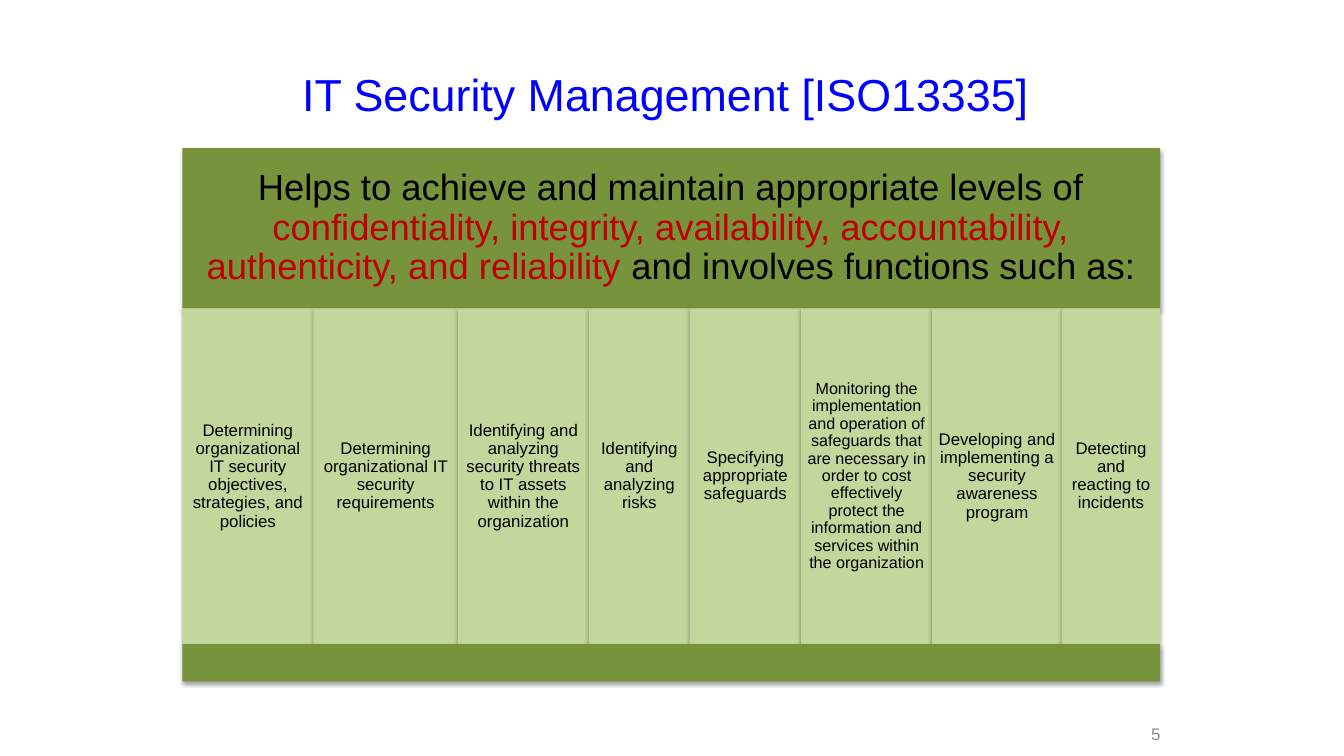
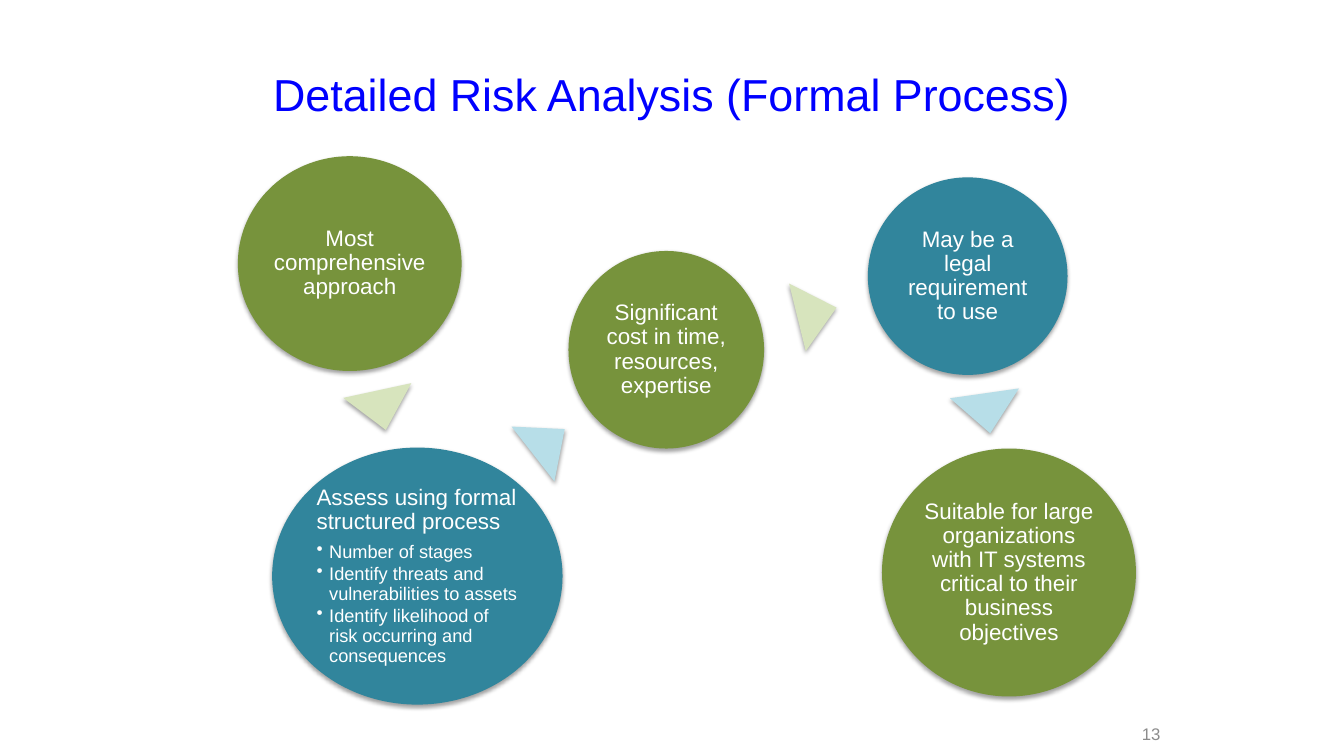
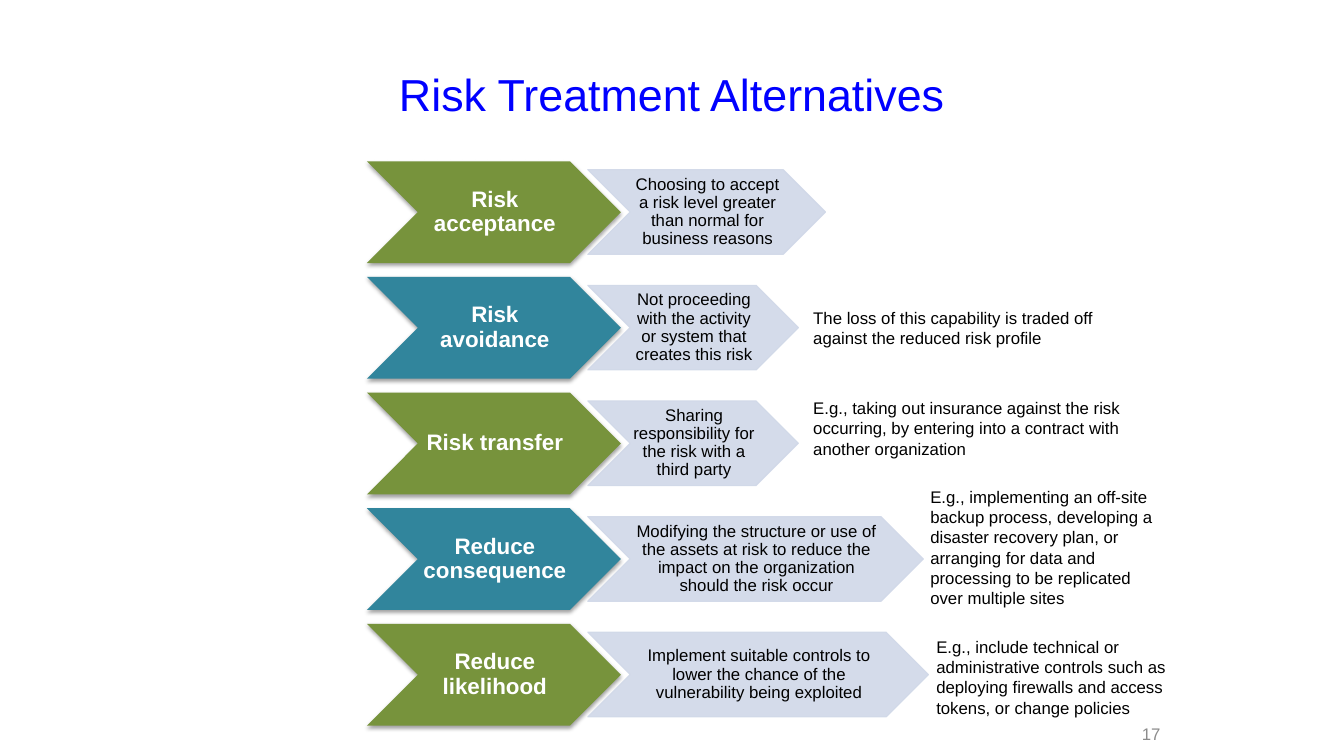
from pptx import Presentation
from pptx.dml.color import RGBColor
from pptx.enum.shapes import MSO_SHAPE
from pptx.enum.text import MSO_ANCHOR, MSO_AUTO_SIZE, PP_ALIGN
from pptx.oxml import parse_xml
from pptx.oxml.ns import nsdecls, qn
from pptx.util import Pt
from lxml.etree import SubElement

BLUE = RGBColor(0x00, 0x00, 0xFF)
BLACK = RGBColor(0x00, 0x00, 0x00)
WHITE = RGBColor(0xFF, 0xFF, 0xFF)
GREY = RGBColor(0x8C, 0x8C, 0x8C)
RED = RGBColor(0xC0, 0x00, 0x00)
GREEN = RGBColor(0x77, 0x93, 0x3C)
LIME = RGBColor(0xC3, 0xD6, 0x9B)
PALE = RGBColor(0xD7, 0xE4, 0xBD)
TEAL = RGBColor(0x31, 0x85, 0x9C)
SKY = RGBColor(0xB7, 0xDE, 0xE8)
MIST = RGBColor(0xD0, 0xD8, 0xE8)

SHADE = (
    f'<a:outerShdw {nsdecls("a")} blurRad="39370" dist="21590" dir="5400000" rotWithShape="0">'
    '<a:srgbClr val="000000"><a:alpha val="36000"/></a:srgbClr></a:outerShdw>'
)


class Deck:
    font = "Arial"

    def __init__(self):
        self.show = Presentation()
        self.show.slide_width = Pt(960)
        self.show.slide_height = Pt(540)
        self.page = None

    def start(self, title, number):
        self.page = self.show.slides.add_slide(self.show.slide_layouts[5])
        head = self.page.shapes.title
        head.left, head.top, head.width, head.height = Pt(48), Pt(21.6), Pt(864), Pt(90)
        head.text_frame.vertical_anchor = MSO_ANCHOR.MIDDLE
        self.words(head.text_frame.paragraphs[0], [(title, BLUE)], 32, PP_ALIGN.CENTER)
        self.note((787, 518.4, 49), number, GREY, PP_ALIGN.RIGHT, 10.8)

    def words(self, line, runs, size, align=PP_ALIGN.LEFT, bold=False):
        line.alignment = align
        for text, ink in runs:
            run = line.add_run()
            run.text = text
            run.font.name = self.font
            run.font.size = Pt(size)
            run.font.bold = bold
            run.font.color.rgb = ink

    def note(self, spot, text, ink=BLACK, align=PP_ALIGN.LEFT, high=None):
        left, top, wide = spot
        box = self.page.shapes.add_textbox(Pt(left), Pt(top), Pt(wide), Pt(high or 36))
        frame = box.text_frame
        frame.word_wrap = True
        if high:
            frame.vertical_anchor = MSO_ANCHOR.MIDDLE
        else:
            frame.auto_size = MSO_AUTO_SIZE.SHAPE_TO_FIT_TEXT
        self.words(frame.paragraphs[0], [(text, ink)], 12, align)

    def shape(self, kind, box, fill, turn=0, glass=False):
        form = self.page.shapes.add_shape(kind, *[Pt(side) for side in box])
        form.rotation = turn
        form.fill.solid()
        form.fill.fore_color.rgb = fill
        form.shadow.inherit = False
        props = form.element.spPr
        if glass:
            form.line.color.rgb = fill
            form.line.width = Pt(0.75)
            for tint in props.iter(qn("a:srgbClr")):
                SubElement(tint, qn("a:alpha")).set("val", "90000")
        else:
            form.line.fill.background()
            props.find(qn("a:effectLst")).append(parse_xml(SHADE))
        return form

    def label(self, form, runs, size, pad, align=PP_ALIGN.CENTER, bold=False):
        frame = form.text_frame
        frame.word_wrap = True
        frame.vertical_anchor = MSO_ANCHOR.MIDDLE
        frame.margin_left, frame.margin_top, frame.margin_right, frame.margin_bottom = map(Pt, pad)
        line = frame.paragraphs[0]
        line.line_spacing = 0.9
        self.words(line, runs, size, align, bold)

    def bullets(self, form, items, size, ink):
        frame = form.text_frame
        frame.paragraphs[0].space_after = Pt(5.6)
        for item in items:
            line = frame.add_paragraph()
            line.level = 1
            line.line_spacing = 0.9
            line.space_after = Pt(2)
            props = line._p.get_or_add_pPr()
            props.set("marL", str(Pt(9)))
            props.set("indent", str(Pt(-9)))
            SubElement(props, qn("a:buChar")).set("char", "•")
            self.words(line, [(item, ink)], size)


def manage(deck):
    deck.start("IT Security Management [ISO13335] ", "5")
    left, wide = 130.3, 698.4
    band = deck.shape(MSO_SHAPE.RECTANGLE, (left, 105.8, wide, 114.5), GREEN)
    deck.label(band, [
        ("Helps to achieve and maintain appropriate levels of ", BLACK),
        ("confidentiality, integrity, availability, accountability, authenticity, and reliability ", RED),
        ("and involves functions such as:", BLACK),
    ], 26, [7.9] * 4)
    tasks = [
        (93.6, 12, "Determining organizational IT security objectives, strategies, and policies"),
        (103.2, 12, "Determining organizational IT security requirements"),
        (93.6, 12, "Identifying and analyzing security threats to IT assets within the organization"),
        (72, 12, "Identifying and analyzing risks"),
        (79.6, 12, "Specifying appropriate safeguards"),
        (93.6, 11.5, "Monitoring the implementation and operation of safeguards that are necessary in "
                     "order to cost effectively protect the information and services within the organization"),
        (92.6, 12, "Developing and implementing a security awareness program"),
        (70.2, 12, "Detecting and reacting to incidents"),
    ]
    spot = left
    for span, size, text in tasks:
        tile = deck.shape(MSO_SHAPE.RECTANGLE, (spot, 220.3, span, 239.8), LIME)
        deck.label(tile, [(text, BLACK)], size, [3.6] * 4)
        spot += span
    deck.shape(MSO_SHAPE.RECTANGLE, (left, 460.1, wide, 26.6), GREEN)


def detail(deck):
    deck.start("Detailed Risk Analysis (Formal Process)", "13")
    points = [
        ((169.9, 111.6, 159.8, 153.4), GREEN, "Most comprehensive approach", []),
        ((194.4, 319.7, 207.4, 183.6), TEAL, "Assess using formal structured process", [
            "Number of stages",
            "Identify threats and vulnerabilities to assets",
            "Identify likelihood of risk occurring and consequences",
        ]),
        ((406.1, 179.3, 139.7, 141.1), GREEN, "Significant cost in time, resources, expertise", []),
        ((619.9, 126.7, 142.6, 141.1), TEAL, "May be a legal requirement to use", []),
        ((630, 320.4, 181.4, 177.1), GREEN,
         "Suitable for large organizations with IT systems critical to their business objectives", []),
    ]
    for box, fill, text, items in points:
        disc = deck.shape(MSO_SHAPE.OVAL, box, fill)
        align = PP_ALIGN.LEFT if items else PP_ALIGN.CENTER
        deck.label(disc, [(text, WHITE)], 16, [1.4] * 4, align)
        if items:
            deck.bullets(disc, items, 13, WHITE)
    hints = [
        (247.7, 278.6, 167.8, PALE),
        (367.2, 301, 51.9, SKY),
        (558.7, 208.8, 76.1, PALE),
        (680.4, 280.8, 171.9, SKY),
    ]
    for left, top, turn, fill in hints:
        deck.shape(MSO_SHAPE.ISOSCELES_TRIANGLE, (left, top, 49.7, 28.8), fill, turn)


def treat(deck):
    deck.start("Risk Treatment Alternatives", "17")
    rows = [
        ("Risk acceptance", 169.9,
         "Choosing to accept a risk level greater than normal for business reasons"),
        ("Risk avoidance", 150.5,
         "Not proceeding with the activity or system that creates this risk"),
        ("Risk transfer", 150.5,
         "Sharing responsibility for the risk with a third party"),
        ("Reduce consequence", 239.8,
         "Modifying the structure or use of the assets at risk to reduce the impact on the "
         "organization should the risk occur"),
        ("Reduce likelihood", 243.4,
         "Implement suitable controls to lower the chance of the vulnerability being exploited"),
    ]
    pad = (1.4, 0.7, 0, 0.7)
    for place, (name, wide, text) in enumerate(rows):
        top = 115.2 + 82.6 * place
        fill = TEAL if place % 2 else GREEN
        head = deck.shape(MSO_SHAPE.CHEVRON, (262.1, top, 181.4, 72.7), fill)
        deck.label(head, [(name, WHITE)], 16, pad, bold=True)
        side = deck.shape(MSO_SHAPE.CHEVRON, (419.8, top + 6, wide, 60.5), MIST, glass=True)
        deck.label(side, [(text, BLACK)], 12, pad)
    notes = [
        ((573.8, 216, 236.2), "The loss of this capability is traded off against the reduced risk profile"),
        ((573.8, 280.8, 236.2), "E.g., taking out insurance against the risk occurring, by entering "
                                "into a contract with another organization"),
        ((657.4, 344.2, 178.6), "E.g., implementing an off-site backup process, developing a disaster "
                                "recovery plan, or arranging for data and processing to be replicated "
                                "over multiple sites"),
        ((661.7, 451.4, 178.6), "E.g., include technical or administrative controls such as deploying "
                                "firewalls and access tokens, or change policies"),
    ]
    for spot, text in notes:
        deck.note(spot, text)


def main():
    deck = Deck()
    manage(deck)
    detail(deck)
    treat(deck)
    deck.show.save("out.pptx")


if __name__ == "__main__":
    main()
